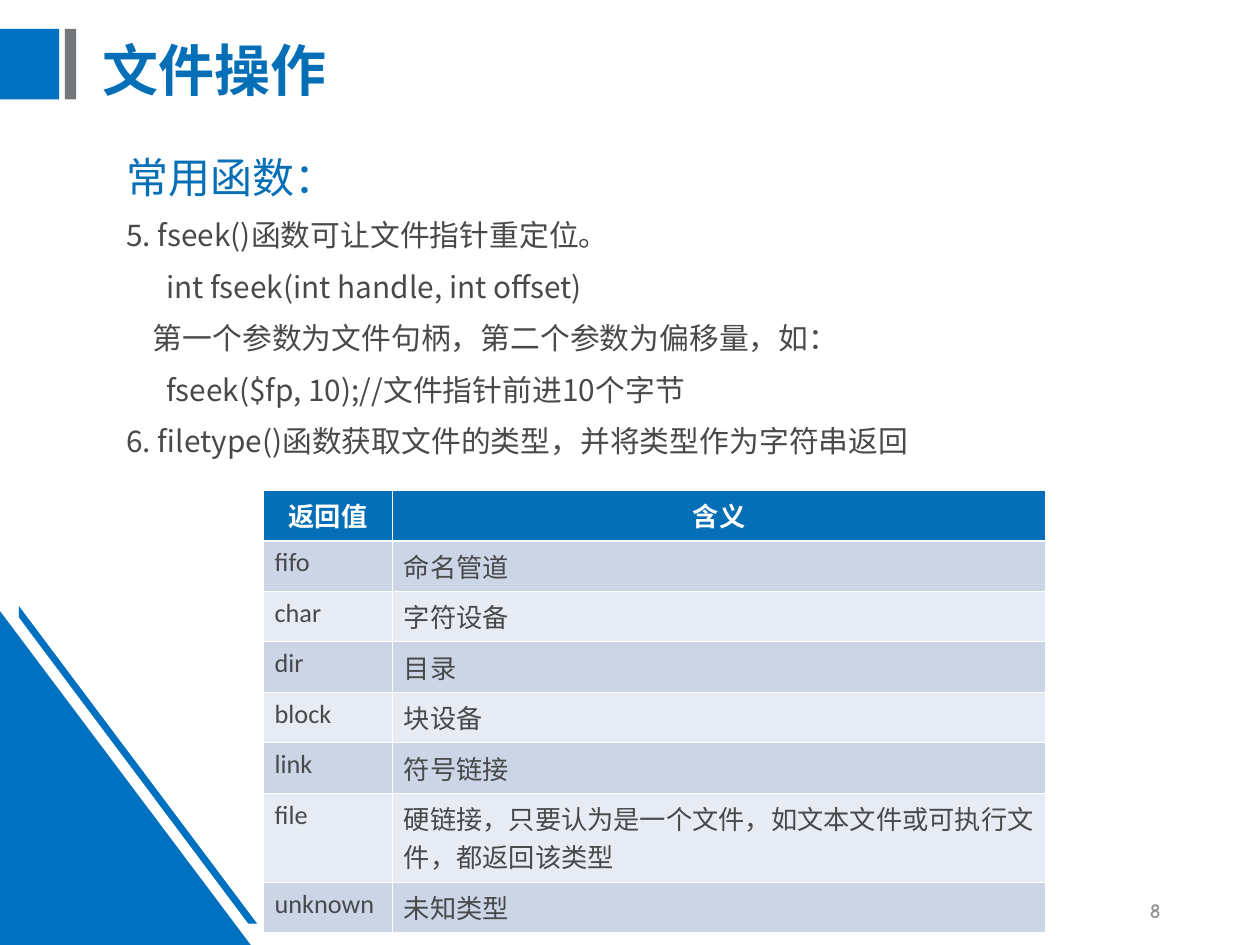
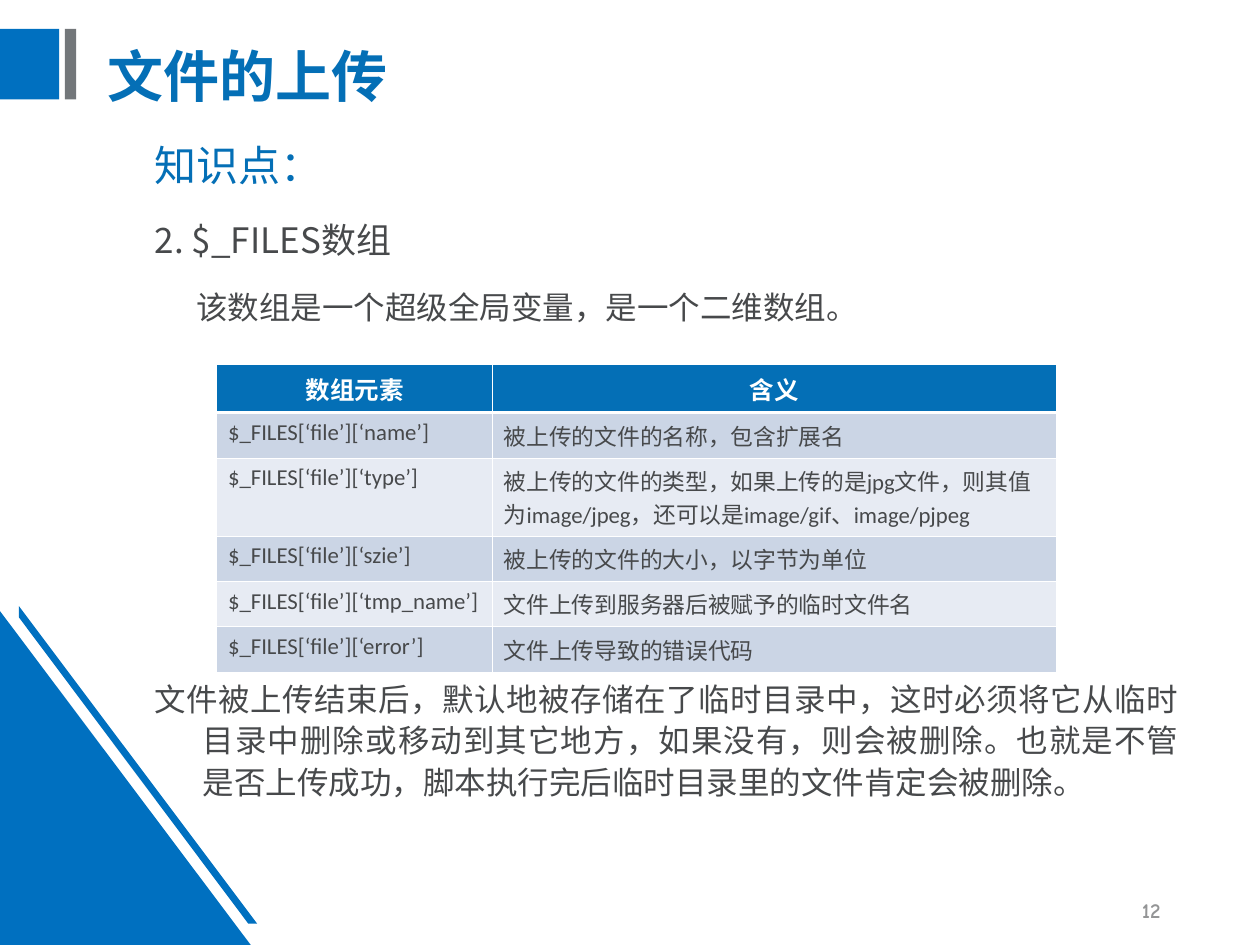
from dataclasses import dataclass
from typing import NamedTuple

from lxml.etree import SubElement
from pptx import Presentation
from pptx.dml.color import RGBColor
from pptx.enum.shapes import MSO_SHAPE
from pptx.enum.text import MSO_ANCHOR, MSO_AUTO_SIZE, PP_ALIGN
from pptx.oxml.ns import qn
from pptx.util import Inches, Pt

SLIDE_WIDTH = Inches(10)
SLIDE_HEIGHT = Inches(7.5)
COLUMNS, ROWS = 100, 75
TITLE_ONLY = 5

BRIGHT_BLUE = "0070C0"
DEEP_BLUE = "046FB6"
BAR_GRAY = "73777A"
INK = "47494B"
NUMBER_GRAY = "949596"
WHITE = "FFFFFF"
BANDS = ("CBD5E5", "E7EBF3")

CJK_FONT = "Noto Sans CJK SC"
TABLE_FONT = "Calibri"
CELL_MARGIN = 0.9


class Area(NamedTuple):
    left: float
    top: float
    width: float
    height: float


class Ornament(NamedTuple):
    preset: MSO_SHAPE
    area: Area
    color: str


@dataclass(frozen=True)
class Line:
    text: str
    size: float = 17
    color: str = INK
    font: str = CJK_FONT
    left: float = 0
    hanging: float = 0
    before: float = 0


@dataclass(frozen=True)
class Passage:
    area: Area
    lines: tuple[Line, ...]
    spacing: float
    after: float = 9


@dataclass(frozen=True)
class Grid:
    left: float
    top: float
    widths: tuple[float, ...]
    heights: tuple[float, ...]
    header_size: float
    body_size: float
    entries: tuple[tuple[str, str], ...]


@dataclass(frozen=True)
class Page:
    title: str
    title_area: Area
    number: str
    passage: Passage
    grid: Grid


ORNAMENTS = (
    Ornament(MSO_SHAPE.RECTANGLE, Area(0, 2.3, 4.7, 5.6), BRIGHT_BLUE),
    Ornament(MSO_SHAPE.RECTANGLE, Area(5.15, 2.3, 0.9, 5.6), BAR_GRAY),
    Ornament(MSO_SHAPE.RIGHT_TRIANGLE, Area(0, 48.5, 19.9, 26.5), BRIGHT_BLUE),
)
STRIPE = ((1.5, 48.1), (20.4, 73.3), (19.7, 73.3), (1.5, 49))
NUMBER_AREA = Area(70.6, 70.2, 22.5, 4)

PAGES = (
    Page(
        title="文件操作",
        title_area=Area(7.1, 2.3, 75.1, 7),
        number="8",
        passage=Passage(
            Area(9.05, 11.5, 82.6, 27.6),
            (
                Line("常用函数：", 24, DEEP_BLUE),
                Line("5. fseek()函数可让文件指针重定位。"),
                Line("int fseek(int handle, int offset)", left=3.15),
                Line("第一个参数为文件句柄，第二个参数为偏移量，如：", left=2.1),
                Line("fseek($fp, 10);//文件指针前进10个字节", left=3.15),
                Line("6. filetype()函数获取文件的类型，并将类型作为字符串返回"),
            ),
            spacing=1,
        ),
        grid=Grid(
            20.9, 38.9, (10.25, 51.85), (4.01,) * 6 + (7.06, 4.01), 15, 15,
            (
                ("返回值", "含义"),
                ("fifo", "命名管道"),
                ("char", "字符设备"),
                ("dir", "目录"),
                ("block", "块设备"),
                ("link", "符号链接"),
                ("file", "硬链接，只要认为是一个文件，如文本文件或可执行文件，都返回该类型"),
                ("unknown", "未知类型"),
            ),
        ),
    ),
    Page(
        title="文件的上传",
        title_area=Area(7.5, 1.65, 75.1, 9.3),
        number="12",
        passage=Passage(
            Area(7.5, 10.2, 87.05, 55.5),
            (
                Line("知识点：", 24, DEEP_BLUE, left=3.8),
                Line("2. $_FILES数组", 20, left=3.8, before=5),
                Line("该数组是一个超级全局变量，是一个二维数组。", 18,
                     font="Times New Roman", left=7.1, before=4.5),
                Line("文件被上传结束后，默认地被存储在了临时目录中，这时必须将它从临时"
                     "目录中删除或移动到其它地方，如果没有，则会被删除。也就是不管是"
                     "否上传成功，脚本执行完后临时目录里的文件肯定会被删除。",
                     18, left=7.6, hanging=3.8, before=190.8),
            ),
            spacing=1.1,
        ),
        grid=Grid(
            17.2, 28.9, (21.9, 44.75), (3.84, 3.6, 6.2, 3.6, 3.6, 3.6), 14, 13,
            (
                ("数组元素", "含义"),
                ("$_FILES[‘file’][‘name’]", "被上传的文件的名称，包含扩展名"),
                ("$_FILES[‘file’][‘type’]",
                 "被上传的文件的类型，如果上传的是jpg文件，则其值为image/jpeg，还可以是image/gif、image/pjpeg"),
                ("$_FILES[‘file’][‘szie’]", "被上传的文件的大小，以字节为单位"),
                ("$_FILES[‘file’][‘tmp_name’]", "文件上传到服务器后被赋予的临时文件名"),
                ("$_FILES[‘file’][‘error’]", "文件上传导致的错误代码"),
            ),
        ),
    ),
)


def across(columns: float) -> int:
    return round(SLIDE_WIDTH * columns / COLUMNS)


def down(rows: float) -> int:
    return round(SLIDE_HEIGHT * rows / ROWS)


def place(area: Area) -> tuple[int, int, int, int]:
    return across(area.left), down(area.top), across(area.width), down(area.height)


def rgb(color: str) -> RGBColor:
    return RGBColor.from_string(color)


def write(paragraph, text: str, *, size: float, color: str, font: str = CJK_FONT,
          bold: bool = False, align=PP_ALIGN.LEFT, spacing: float = 1,
          before: float = 0, after: float = 0) -> None:
    paragraph.alignment = align
    paragraph.line_spacing = spacing
    paragraph.space_before = Pt(before)
    paragraph.space_after = Pt(after)
    run = paragraph.add_run()
    run.text = text
    run.font.size = Pt(size)
    run.font.bold = bold
    run.font.color.rgb = rgb(color)
    run.font.name = font
    SubElement(run.font._element, qn("a:ea"), typeface=CJK_FONT)


def paint(shape, color: str) -> None:
    shape.shadow.inherit = False
    shape.fill.solid()
    shape.fill.fore_color.rgb = rgb(color)
    shape.line.fill.background()


def draw_ornaments(slide) -> None:
    for ornament in ORNAMENTS:
        paint(slide.shapes.add_shape(ornament.preset, *place(ornament.area)), ornament.color)
    start, *corners = [(across(x), down(y)) for x, y in STRIPE]
    outline = slide.shapes.build_freeform(*start)
    outline.add_line_segments(corners, close=True)
    paint(outline.convert_to_shape(), BRIGHT_BLUE)


def draw_title(slide, text: str, area: Area) -> None:
    title = slide.shapes.title
    title.left, title.top, title.width, title.height = place(area)
    frame = title.text_frame
    frame.auto_size = MSO_AUTO_SIZE.NONE
    frame.vertical_anchor = MSO_ANCHOR.MIDDLE
    write(frame.paragraphs[0], text, size=32, color=DEEP_BLUE, bold=True, spacing=0.9)


def add_frame(slide, area: Area, anchor=MSO_ANCHOR.TOP):
    frame = slide.shapes.add_textbox(*place(area)).text_frame
    frame.word_wrap = True
    frame.vertical_anchor = anchor
    return frame


def draw_passage(slide, passage: Passage) -> None:
    frame = add_frame(slide, passage.area)
    for index, line in enumerate(passage.lines):
        paragraph = frame.add_paragraph() if index else frame.paragraphs[0]
        properties = paragraph._p.get_or_add_pPr()
        properties.set("marL", str(across(line.left)))
        properties.set("indent", str(-across(line.hanging)))
        write(paragraph, line.text, size=line.size, color=line.color, font=line.font,
              align=PP_ALIGN.JUSTIFY, spacing=passage.spacing,
              before=line.before, after=passage.after)


def draw_number(slide, number: str) -> None:
    frame = add_frame(slide, NUMBER_AREA, MSO_ANCHOR.MIDDLE)
    write(frame.paragraphs[0], number, size=12, color=NUMBER_GRAY,
          font="Comic Neue", bold=True, align=PP_ALIGN.RIGHT)


def add_borders(cell, top: float, bottom: float) -> None:
    properties = cell._tc.get_or_add_tcPr()
    for side, points in (("L", 0.45), ("R", 0.45), ("T", top), ("B", bottom)):
        border = SubElement(properties, qn(f"a:ln{side}"), w=str(Pt(points)))
        fill = SubElement(border, qn("a:solidFill"))
        SubElement(fill, qn("a:srgbClr"), val=WHITE)


def draw_grid(slide, grid: Grid) -> None:
    area = Area(grid.left, grid.top, sum(grid.widths), sum(grid.heights))
    table = slide.shapes.add_table(len(grid.heights), len(grid.widths), *place(area)).table
    for column, width in zip(table.columns, grid.widths):
        column.width = across(width)
    for index, (row, height, entry) in enumerate(zip(table.rows, grid.heights, grid.entries)):
        row.height = down(height)
        header = index == 0
        for cell, text in zip(row.cells, entry):
            cell.margin_left = cell.margin_right = across(CELL_MARGIN)
            add_borders(cell, 1.47 if index == 1 else 0.45, 1.47 if header else 0.45)
            cell.fill.solid()
            cell.fill.fore_color.rgb = rgb(DEEP_BLUE if header else BANDS[(index - 1) % 2])
            write(cell.text_frame.paragraphs[0], text,
                  size=grid.header_size if header else grid.body_size,
                  color=WHITE if header else INK, font=TABLE_FONT, bold=header,
                  align=PP_ALIGN.CENTER if header else PP_ALIGN.LEFT)


def main() -> None:
    deck = Presentation()
    deck.slide_width, deck.slide_height = SLIDE_WIDTH, SLIDE_HEIGHT
    for page in PAGES:
        slide = deck.slides.add_slide(deck.slide_layouts[TITLE_ONLY])
        draw_ornaments(slide)
        draw_title(slide, page.title, page.title_area)
        draw_passage(slide, page.passage)
        draw_number(slide, page.number)
        draw_grid(slide, page.grid)
    deck.save("out.pptx")


if __name__ == "__main__":
    main()
